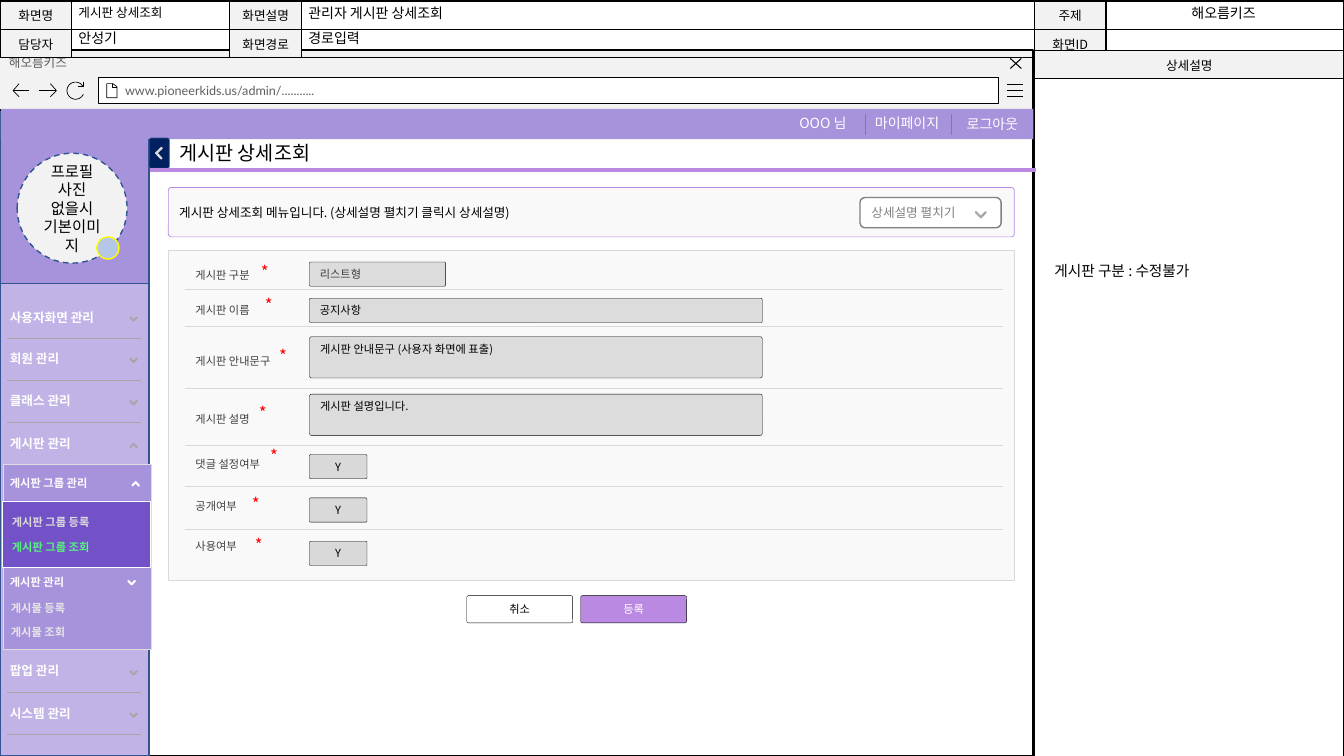
from dataclasses import dataclass
from math import cos, radians, sin
from typing import Optional

from lxml import etree
from pptx import Presentation
from pptx.dml.color import RGBColor
from pptx.enum.dml import MSO_LINE
from pptx.enum.shapes import MSO_CONNECTOR, MSO_SHAPE
from pptx.enum.text import MSO_ANCHOR, PP_ALIGN
from pptx.oxml.ns import qn
from pptx.util import Emu, Inches, Pt

RECT, ROUND, OVAL, CORNER = MSO_SHAPE.RECTANGLE, MSO_SHAPE.ROUNDED_RECTANGLE, MSO_SHAPE.OVAL, MSO_SHAPE.CORNER
STRAIGHT, DASH = MSO_CONNECTOR.STRAIGHT, MSO_LINE.DASH
LEFT, CENTER = PP_ALIGN.LEFT, PP_ALIGN.CENTER
TOP, MIDDLE = MSO_ANCHOR.TOP, MSO_ANCHOR.MIDDLE
CELL = Inches(0.1)
KOREAN, LATIN = "Noto Sans CJK KR", "Lato"
DOWN, UP, BACK = 315, 137, 46.5
COLORS = {
    "black": "000000", "white": "FFFFFF", "ink": "404040", "address": "5F5F5F", "gray": "808080",
    "arrow": "A6A6A6", "corner": "BFBFBF", "rule": "D9D9D9", "input": "DCDCDC", "soft": "E6E6E6",
    "chrome": "F2F2F2", "panel": "F9F9F9", "purple": "A792DC", "lilac": "C2B3E7", "violet": "7351C7",
    "accent": "BA8AE3", "edge": "325491", "navy": "002060", "sky": "B4C7E7", "yellow": "FFFF00",
    "red": "FF0000", "green": "57F380",
}


@dataclass
class Box:
    col: float
    row: float
    cols: float
    rows: float


@dataclass
class Text:
    words: str
    size: float = 9
    color: str = "black"
    align: PP_ALIGN = LEFT
    anchor: MSO_ANCHOR = MIDDLE
    bold: bool = False
    font: str = KOREAN
    left_inset: float = 1


@dataclass
class Field:
    label: str
    label_row: float
    star_col: float
    star_row: float
    value: str
    value_box: Box
    color: str = "black"
    fill: str = "input"
    align: PP_ALIGN = LEFT
    anchor: MSO_ANCHOR = MIDDLE


def grid(cells: float) -> Emu:
    return Emu(round(cells * CELL))


def spread(box: Box) -> list:
    return [grid(n) for n in (box.col, box.row, box.cols, box.rows)]


def rgb(color: str) -> RGBColor:
    return RGBColor.from_string(COLORS[color])


def write(frame, text: Text) -> None:
    frame.text = text.words
    for paragraph in frame.paragraphs:
        paragraph.alignment = text.align
        font = paragraph.font
        font.size, font.bold, font.name = Pt(text.size), text.bold, text.font
        font.color.rgb = rgb(text.color)
        etree.SubElement(font._element, qn("a:ea"), typeface=KOREAN)


def fit(frame, text: Text) -> None:
    frame.word_wrap = True
    frame.vertical_anchor = text.anchor
    frame.margin_left = grid(text.left_inset)
    write(frame, text)


def label(slide, box: Box, text: Text) -> None:
    fit(slide.shapes.add_textbox(*spread(box)).text_frame, text)


def panel(slide, box: Box, fill: str, line: Optional[str] = None, weight: float = 1,
          kind: MSO_SHAPE = RECT, radius: Optional[float] = None, text: Optional[Text] = None):
    shape = slide.shapes.add_shape(kind, *spread(box))
    shape.shadow.inherit = False
    shape.fill.solid()
    shape.fill.fore_color.rgb = rgb(fill)
    if line:
        shape.line.color.rgb = rgb(line)
        shape.line.width = Pt(weight)
    else:
        shape.line.fill.background()
    if radius is not None:
        for index in range(len(shape.adjustments)):
            shape.adjustments[index] = radius
    if text:
        fit(shape.text_frame, text)
    return shape


def chevron(slide, col: float, row: float, turn: float, line: str = "arrow", size: float = 0.5) -> None:
    panel(slide, Box(col, row, size, size), "corner", line, 1, CORNER, 0.12).rotation = turn


def rule(slide, start: tuple, end: tuple, color: str) -> None:
    line = slide.shapes.add_connector(STRAIGHT, *(grid(n) for n in start + end))
    line.line.color.rgb = rgb(color)
    line.line.width = Pt(0.5)
    etree.SubElement(line._element.spPr, qn("a:effectLst"))


def icon(slide, strokes: list, weight: float = 0.5) -> None:
    paths = [[(grid(x), grid(y)) for x, y in stroke] for stroke in strokes]
    builder = slide.shapes.build_freeform(*paths[0][0], scale=1.0)
    for path in paths:
        builder.move_to(*path[0])
        builder.add_line_segments(path[1:], close=False)
    shape = builder.convert_to_shape()
    shape.shadow.inherit = False
    shape.fill.background()
    shape.line.color.rgb = rgb("black")
    shape.line.width = Pt(weight)


def sheet(slide, box: Box, widths: list, heights: list, rows: list, blank: Optional[str] = None) -> None:
    table = slide.shapes.add_table(len(rows), len(widths), *spread(box)).table
    table.first_row = table.horz_banding = False
    for column, width in zip(table.columns, widths):
        column.width = grid(width)
    for row, height, entries in zip(table.rows, heights, rows):
        row.height = grid(height)
        for cell, entry in zip(row.cells, entries):
            for side in ("lnL", "lnR", "lnT", "lnB"):
                border = etree.SubElement(cell._tc.get_or_add_tcPr(), qn(f"a:{side}"), w=str(Pt(1)))
                paint = etree.SubElement(border, qn("a:solidFill"))
                etree.SubElement(paint, qn("a:srgbClr"), val=COLORS["black"])
            fill = "chrome" if entry else blank
            if fill:
                cell.fill.solid()
                cell.fill.fore_color.rgb = rgb(fill)
            else:
                cell.fill.background()
            if entry:
                write(cell.text_frame, Text(entry, align=CENTER))
            else:
                etree.SubElement(cell.text_frame.paragraphs[0]._p, qn("a:endParaRPr"), sz="900")


def draw_browser(slide) -> None:
    panel(slide, Box(-0.1, 10.9, 102.6, 64.1), "white", "black", 1.5)
    panel(slide, Box(-0.1, 5, 102.6, 5.9), "chrome", "black", 1.5,
          text=Text("해오름키즈", color="address", anchor=TOP, font=LATIN))
    icon(slide, [[(99.9, y), (101.5, y)] for y in (8.4, 9, 9.6)])
    icon(slide, [[(101.3, 5.8), (100.2, 6.8)], [(100.2, 5.8), (101.3, 6.8)]], 0.75)
    panel(slide, Box(9.8, 7.7, 89.2, 2.6), "white", "black", 0.5,
          text=Text("www.pioneerkids.us/admin/...........", color="address", font=LATIN, left_inset=2.6))
    icon(slide, [[(11.2, 8.3), (11.2, 8.7), (11.6, 8.7)],
                 [(11.2, 8.3), (10.6, 8.3), (10.6, 9.7), (11.6, 9.7), (11.6, 8.6), (11.2, 8.3)]])
    for tip, tail, barb in ((1.3, 2.9, 1.9), (5.6, 3.9, 5)):
        icon(slide, [[(barb, 9.6), (tip, 9), (barb, 8.3)], [(tip, 9), (tail, 9)]])
    turn = [(7.5 + 0.85 * cos(radians(a)), 9 + 0.85 * sin(radians(a))) for a in range(25, 336, 10)]
    icon(slide, [turn, [(8.3, 8.1), (8.3, 8.6), (7.7, 8.6)]])


def draw_sidebar(slide) -> None:
    for top in (11.1, 28.1):
        panel(slide, Box(0, top, 14.8, 75 - top), "purple" if top < 20 else "lilac", "edge")
    menu = [("사용자화면 관리", 29.3), ("회원 관리", 33.4), ("클래스 관리", 37.6),
            ("게시판 관리", 41.8), ("팝업 관리", 64.4), ("시스템 관리", 68.6)]
    for words, row in menu:
        opened = row == 41.8
        label(slide, Box(0, row, 15, 4.3), Text(words, color="white", bold=True))
        chevron(slide, 13, row + (2.3 if opened else 1.95), UP if opened else DOWN)
        if not opened:
            rule(slide, (0.7, row + 4.3), (14, row + 4.3), "arrow")
    panel(slide, Box(0.3, 46.1, 14.7, 18.3), "purple", "input", 0.5)
    panel(slide, Box(0.2, 49.7, 14.7, 6.6), "violet", "white", 0.5)
    submenu = [("게시판 그룹 관리", 0, 46.6, "white"), ("게시판 그룹 등록", 0.2, 50.4, "input"),
               ("게시판 그룹 조회", 0.2, 52.9, "green"), ("게시판 관리", 0, 56.4, "white"),
               ("게시물 등록", 0.1, 59, "soft"), ("게시물 조회", 0.1, 61.4, "soft")]
    for words, col, row, color in submenu:
        label(slide, Box(col, row, 15, 2.7), Text(words, 8, color, bold=True))
    chevron(slide, 13.2, 47.9, UP, "white")
    chevron(slide, 12.8, 57.4, DOWN, "white")
    profile = panel(slide, Box(1.7, 15.2, 10.9, 10.9), "chrome", "edge", 1, OVAL,
                    text=Text("프로필 사진\n없을시 기본이미지", 11, align=CENTER))
    profile.line.dash_style = DASH
    panel(slide, Box(9.6, 23.5, 2.2, 2.2), "sky", "yellow", 1, OVAL)


def draw_account_bar(slide) -> None:
    panel(slide, Box(0.1, 10.8, 102.4, 3), "purple")
    for words, col, row in (("OOO 님", 78.3, 10.9), ("마이페이지", 85.8, 10.9), ("로그아웃", 94.9, 11)):
        label(slide, Box(col, row, 11, 2.7), Text(words, 10, "white", anchor=TOP))
    for col in (85.8, 94.4):
        rule(slide, (col, 11.3), (col, 13.4), "gray")
    panel(slide, Box(14.8, 13.7, 2, 3), "navy", "edge", 0.5, ROUND, 0.11)
    chevron(slide, 15.6, 14.8, BACK, "rule", 0.8)


def draw_form(slide) -> None:
    panel(slide, Box(14.9, 16.7, 87.8, 0.3), "accent", "accent")
    label(slide, Box(16.8, 13.5, 23.8, 3.4), Text("게시판 상세조회", 14, anchor=TOP))
    panel(slide, Box(16.7, 18.6, 83.9, 4.9), "panel", "accent", 0.5, ROUND, 0.06,
          Text("게시판 상세조회 메뉴입니다. (상세설명 펼치기 클릭시 상세설명)"))
    panel(slide, Box(85.3, 19.6, 14, 3), "white", "gray", 1, ROUND, text=Text("상세설명 펼치기", color="gray"))
    chevron(slide, 96.9, 20.7, DOWN, size=0.75)
    panel(slide, Box(16.7, 24.8, 83.9, 32.8), "panel", "rule", 0.25, ROUND, 0)
    for row in (28.7, 32.4, 38.5, 44.2, 48.3, 52.5):
        rule(slide, (18.4, row), (99.5, row), "rule")
    fields = [
        Field("게시판 구분", 26.1, 24.9, 25.5, "리스트형", Box(30.7, 26, 13.5, 2.4), "ink"),
        Field("게시판 이름", 29.6, 25.3, 28.7, "공지사항", Box(30.7, 29.6, 44.9, 2.4)),
        Field("게시판 안내문구", 34.7, 26.7, 33.8, "게시판 안내문구 (사용자 화면에 표출)",
              Box(30.7, 33.4, 44.9, 4.1), anchor=TOP),
        Field("게시판 설명", 40.4, 24.7, 39.5, "게시판 설명입니다.", Box(30.7, 39.1, 44.9, 4.1), anchor=TOP),
    ]
    switches = [("댓글 설정여부", 44.9, 25.8, 43.7, 45.1), ("공개여부", 49, 24, 48.5, 49.4),
                ("사용여부", 53, 24.3, 52.6, 53.7)]
    fields += [Field(words, row, star_col, star_row, "Y", Box(30.7, top, 5.7, 2.4), fill="rule", align=CENTER)
               for words, row, star_col, star_row, top in switches]
    for field in fields:
        label(slide, Box(18.4, field.label_row, 11.2, 2.4), Text(field.label, 8, "ink", anchor=TOP))
        label(slide, Box(field.star_col, field.star_row, 3, 3), Text("*", 12, "red", anchor=TOP))
        panel(slide, field.value_box, field.fill, "black", 0.25, ROUND, 0.05,
              Text(field.value, 8, field.color, field.align, field.anchor))
    for words, col, fill, color in (("취소", 46.3, "white", "black"), ("등록", 57.6, "accent", "white")):
        panel(slide, Box(col, 59.1, 10.5, 2.7), fill, "black", 0.25, ROUND, 0.06, Text(words, 8, color, CENTER))


def draw_document_header(slide) -> None:
    entries = [("게시판 상세조회", 6.8, 0, 15.9, 9, LEFT), ("안성기", 6.8, 2.4, 15.9, 10, LEFT),
               ("관리자 게시판 상세조회", 29.6, 0, 73.1, 10, LEFT), ("경로입력", 29.6, 2.4, 73.1, 10, LEFT),
               ("해오름키즈", 109.4, 0, 23.9, 10, CENTER)]
    sheet(slide, Box(0, 0.1, 133.3, 5.6), [7.1, 15.7, 7.1, 72.7, 7.1, 23.6], [2.8, 2.8],
          [["화면명", "", "화면설명", "", "주제", ""], ["담당자", "", "화면경로", "", "화면ID", ""]])
    sheet(slide, Box(102.6, 5, 30.7, 70), [30.7], [2.8, 67.2], [["상세설명"], [""]], "white")
    for words, col, row, cols, size, align in entries:
        label(slide, Box(col, row, cols, 2.7), Text(words, size, align=align, anchor=TOP))
    label(slide, Box(103.6, 25.5, 25.9, 2.8), Text("게시판 구분 : 수정불가", 10.5, anchor=TOP))


def main() -> None:
    deck = Presentation()
    deck.slide_width, deck.slide_height = grid(133.3), grid(75)
    slide = deck.slides.add_slide(deck.slide_layouts[6])
    for draw in (draw_browser, draw_document_header, draw_sidebar, draw_account_bar, draw_form):
        draw(slide)
    deck.save("out.pptx")


if __name__ == "__main__":
    main()
